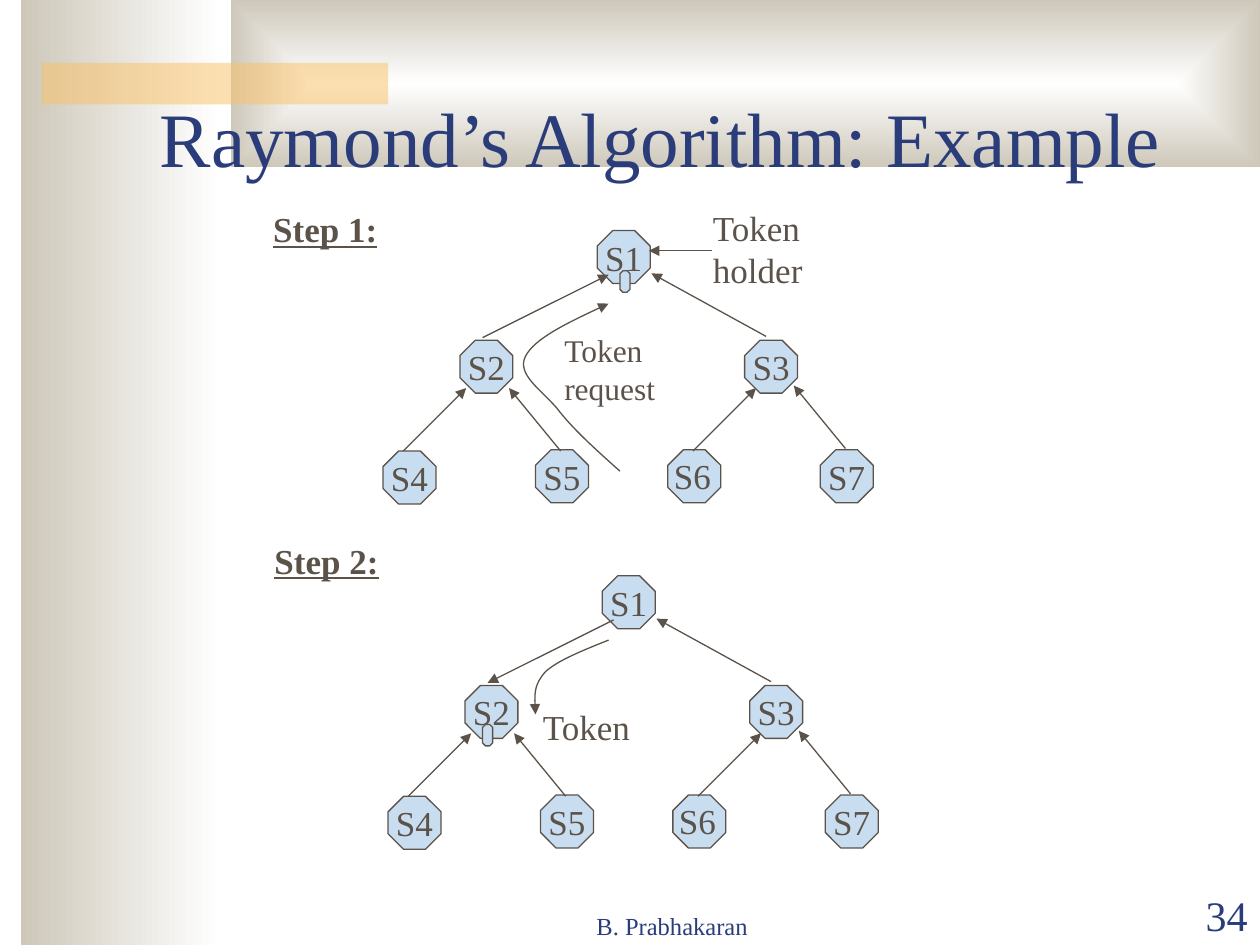
from lxml import etree
from pptx import Presentation
from pptx.dml.color import RGBColor
from pptx.enum.shapes import MSO_CONNECTOR, MSO_SHAPE
from pptx.enum.text import MSO_ANCHOR, MSO_AUTO_SIZE, PP_ALIGN
from pptx.oxml.ns import qn
from pptx.util import Inches, Pt

RECTANGLE, OCTAGON = MSO_SHAPE.RECTANGLE, MSO_SHAPE.OCTAGON
STRAIGHT = MSO_CONNECTOR.STRAIGHT
TOP, MIDDLE, BOTTOM = MSO_ANCHOR.TOP, MSO_ANCHOR.MIDDLE, MSO_ANCHOR.BOTTOM
LEFT, CENTER, RIGHT = PP_ALIGN.LEFT, PP_ALIGN.CENTER, PP_ALIGN.RIGHT
FIT_TEXT = MSO_AUTO_SIZE.SHAPE_TO_FIT_TEXT

FONT = "Times New Roman"
COLORS = {"white": "FFFFFF", "sand": "CEC8BA", "band": "FAC164",
          "navy": "2A3D7A", "ink": "5B5249", "node": "C9DDF1"}
NODE_SIZE = 0.42
TOKEN_SIZE = (0.08, 0.17)

# The tree of sites, placed as in step 1
NODES = {"S1": (4.74, 1.83), "S2": (3.65, 2.7), "S3": (5.91, 2.7),
         "S4": (3.04, 3.58), "S5": (4.25, 3.57), "S6": (5.3, 3.57),
         "S7": (6.51, 3.57)}
SEPARATE_LABELS = {"S6": (5.25, 3.56, 0.55, 0.44)}
EDGES = {("S4", "S2"): ((3.2, 3.58), (3.7, 3.08)),
         ("S6", "S3"): ((5.5, 3.58), (6, 3.08)),
         ("S5", "S2"): ((4.45, 3.58), (4.04, 3.08)),
         ("S7", "S3"): ((6.71, 3.56), (6.3, 3.06)),
         ("S2", "S1"): ((3.83, 2.68), (4.83, 2.18)),
         ("S3", "S1"): ((6.08, 2.67), (5.17, 2.17))}

STEPS = [
    {"title": "Step 1:", "title_box": (2.07, 1.6, 1.1, 0.44),
     "offset": (0, 0), "reversed": [], "token": (4.92, 2.15),
     "arrows": [((5.65, 1.99), (5.15, 1.99))],
     "curve": [(4.92, 3.74), (4.73, 3.57), (4.54, 3.4), (4.42, 3.24),
               (4.29, 3.09), (4.1, 2.97), (4.17, 2.83),
               (4.24, 2.69), (4.53, 2.55), (4.83, 2.41)],
     "notes": [("Token\nholder", (5.56, 1.59, 0.95, 0.77), 20),
               ("Token\nrequest", (4.38, 2.58, 0.95, 0.7), 18)]},
    {"title": "Step 2:", "title_box": (2.08, 4.23, 1.1, 0.44),
     "offset": (0.04, 2.74), "reversed": [("S2", "S1")], "token": (3.83, 5.75),
     "arrows": [],
     "curve": [(4.83, 5.08), (4.63, 5.16), (4.43, 5.24), (4.33, 5.33),
               (4.24, 5.43), (4.24, 5.55), (4.25, 5.67)],
     "notes": [("Token", (4.21, 5.55, 0.95, 0.44), 20)]},
]


def rgb(name):
    return RGBColor.from_string(COLORS[name])


def write(shape, text, size=20, color="ink", align=LEFT, anchor=TOP,
          wrap=False, bold=False, underline=False):
    frame = shape.text_frame
    frame.word_wrap = wrap
    frame.vertical_anchor = anchor
    frame.text = text
    for paragraph in frame.paragraphs:
        paragraph.alignment = align
        font = paragraph.font
        font.name, font.size = FONT, Pt(size)
        font.color.rgb = rgb(color)
        font.bold, font.underline = bold, underline


def add_text(slide, text, box, **text_format):
    shape = slide.shapes.add_textbox(*map(Inches, box))
    write(shape, text, **text_format)
    if not text_format.get("wrap"):
        shape.text_frame.auto_size = FIT_TEXT


def style_line(shape):
    shape.line.color.rgb = rgb("ink")
    shape.line.width = Pt(0.75)


def add_arrowhead(shape):
    line = shape.line._get_or_add_ln()
    etree.SubElement(line, qn("a:tailEnd"), type="triangle")


def add_octagon(slide, box):
    shape = slide.shapes.add_shape(OCTAGON, *map(Inches, box))
    shape.shadow.inherit = False
    shape.fill.solid()
    shape.fill.fore_color.rgb = rgb("node")
    style_line(shape)
    return shape


def add_arrow(slide, start, end):
    arrow = slide.shapes.add_connector(STRAIGHT, *map(Inches, start + end))
    style_line(arrow)
    add_arrowhead(arrow)
    etree.SubElement(arrow._element.spPr, qn("a:effectLst"))


def add_curved_arrow(slide, points):
    """Draw Bezier curves: a start point, then three points for each curve."""
    start, *rest = [(Inches(x), Inches(y)) for x, y in points]
    builder = slide.shapes.build_freeform(*start)
    builder.add_line_segments(rest, close=False)
    shape = builder.convert_to_shape()
    outline = shape._element.find(".//" + qn("a:path"))
    segments = outline.findall(qn("a:lnTo"))
    for first in range(0, len(segments), 3):
        curve = etree.SubElement(outline, qn("a:cubicBezTo"))
        for segment in segments[first:first + 3]:
            curve.append(segment[0])
            outline.remove(segment)
    shape.fill.background()
    style_line(shape)
    add_arrowhead(shape)
    shape.shadow.inherit = False


def add_panel(slide, box):
    shape = slide.shapes.add_shape(RECTANGLE, *map(Inches, box))
    shape.shadow.inherit = False
    shape.line.fill.background()
    return shape


def add_gradient_panel(slide, box):
    shape = add_panel(slide, box)
    shape.fill.gradient()
    shape.fill.gradient_angle = 180
    for stop, color in zip(shape.fill.gradient_stops, ("white", "sand")):
        stop.color.rgb = rgb(color)
    return shape


def add_background(slide):
    add_gradient_panel(slide, (0.17, 0, 1.58, 7.5))

    header = add_gradient_panel(slide, (1.83, 0, 8.17, 1.33))
    linear = header._element.find(".//" + qn("a:lin"))
    frame = etree.Element(qn("a:path"), path="rect")
    etree.SubElement(frame, qn("a:fillToRect"),
                     {side: "50000" for side in "ltrb"})
    linear.getparent().replace(linear, frame)

    band = add_panel(slide, (0.33, 0.5, 2.75, 0.33))
    band.fill.solid()
    band.fill.fore_color.rgb = rgb("band")
    color = band._element.spPr.find(".//" + qn("a:srgbClr"))
    etree.SubElement(color, qn("a:alpha"), val="50000")


def add_step(slide, step):
    dx, dy = step["offset"]
    for name, (x, y) in NODES.items():
        node = add_octagon(slide, (x + dx, y + dy, NODE_SIZE, NODE_SIZE))
        if name in SEPARATE_LABELS:
            left, top, width, height = SEPARATE_LABELS[name]
            add_text(slide, name, (left + dx, top + dy, width, height))
        else:
            write(node, name, align=CENTER, anchor=MIDDLE)
    for edge, ends in EDGES.items():
        start, end = [(x + dx, y + dy) for x, y in ends]
        if edge in step["reversed"]:
            start, end = end, start
        add_arrow(slide, start, end)
    add_octagon(slide, step["token"] + TOKEN_SIZE)
    for start, end in step["arrows"]:
        add_arrow(slide, start, end)
    add_curved_arrow(slide, step["curve"])
    for text, box, size in step["notes"]:
        add_text(slide, text, box, size=size)
    add_text(slide, step["title"], step["title_box"], bold=True, underline=True)


def main():
    presentation = Presentation()
    presentation.slide_width, presentation.slide_height = Inches(10), Inches(7.5)
    slide = presentation.slides.add_slide(presentation.slide_layouts[6])
    add_background(slide)
    add_text(slide, "Raymond’s Algorithm: Example", (1.17, 0.25, 8.5, 1.25),
             size=44, color="navy", anchor=BOTTOM, wrap=True)
    for step in STEPS:
        add_step(slide, step)
    add_text(slide, "B. Prabhakaran", (3.75, 7.01, 3.17, 0.5), size=14,
             color="navy", align=CENTER, anchor=BOTTOM, wrap=True)
    add_text(slide, "34", (9, 7.01, 1, 0.5), size=24,
             color="navy", align=RIGHT, anchor=BOTTOM, wrap=True)
    presentation.save("out.pptx")


if __name__ == "__main__":
    main()
